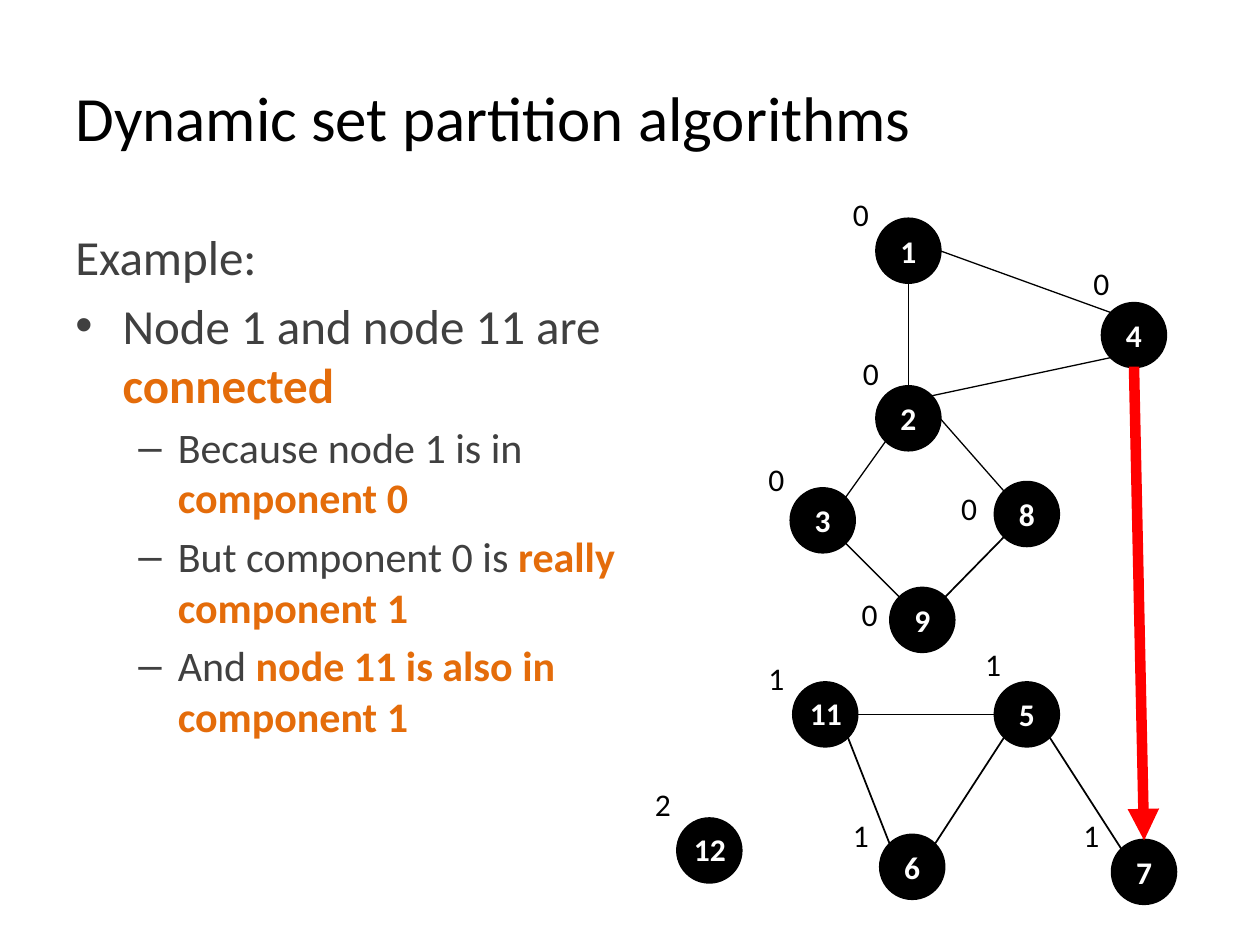
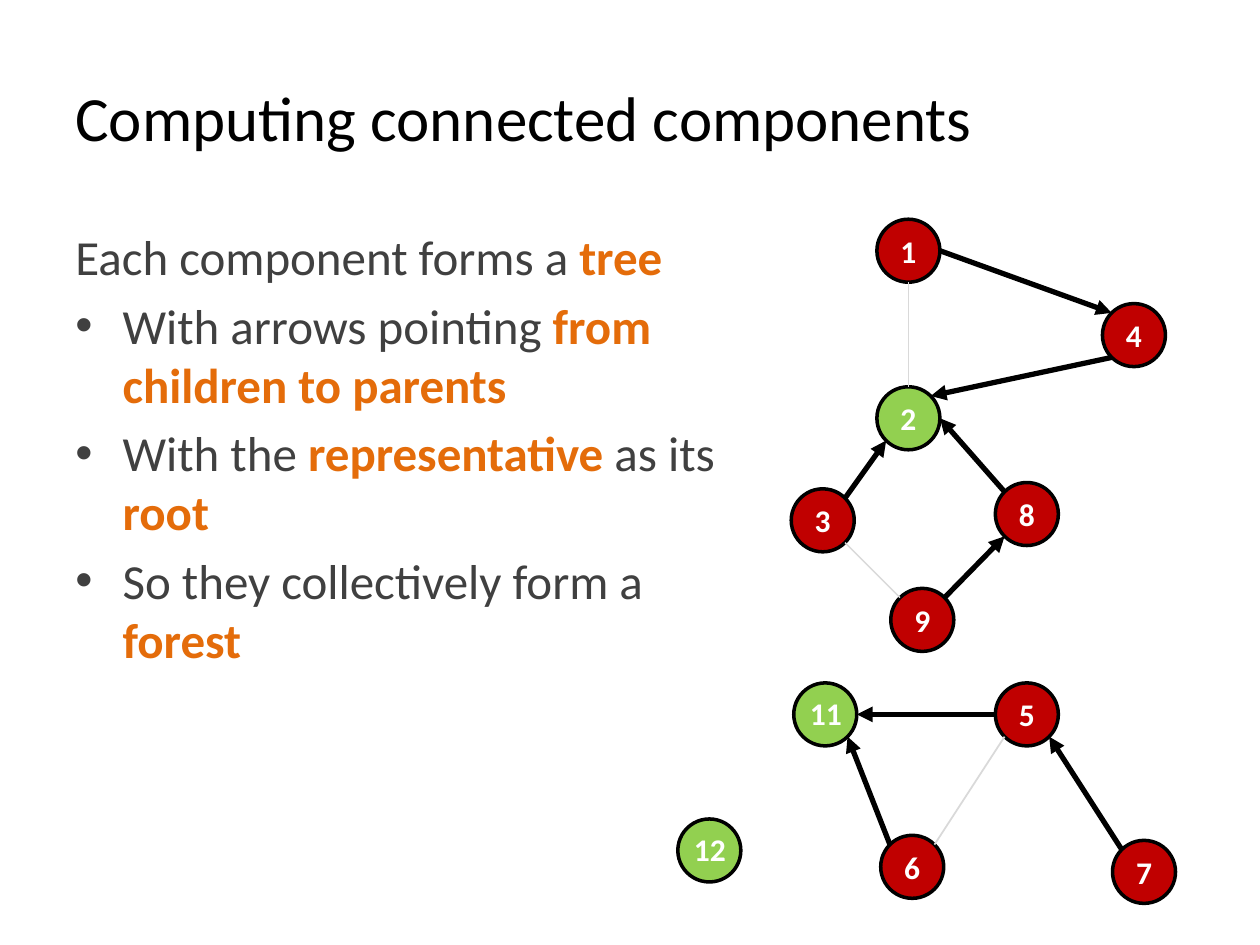
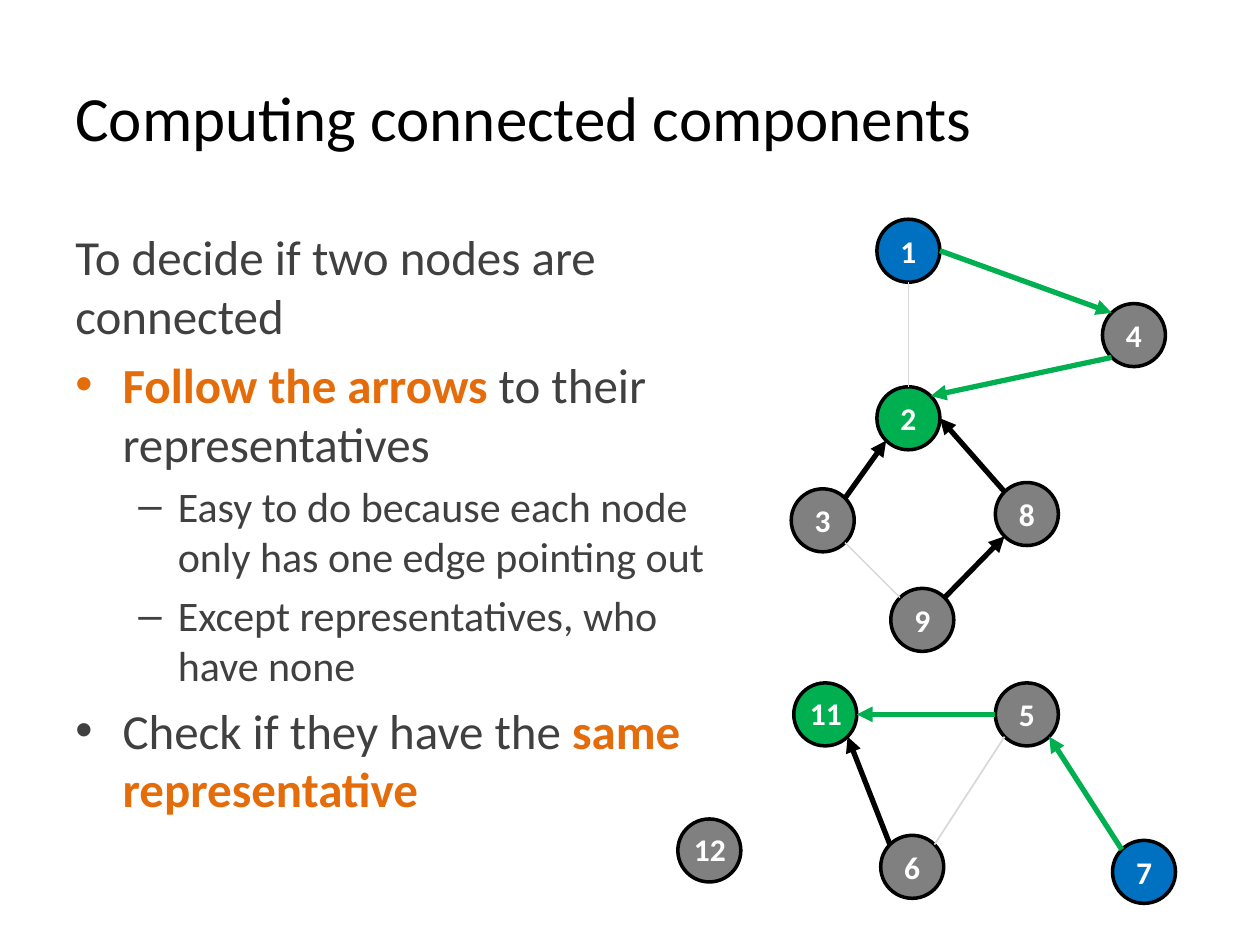
from math import cos, radians, sin

from lxml import etree
from pptx import Presentation
from pptx import util as u
from pptx.dml.color import RGBColor
from pptx.enum import shapes, text
from pptx.oxml import ns

BLACK = RGBColor(0, 0, 0)
WHITE = RGBColor(255, 255, 255)
INK = RGBColor(0x40, 0x40, 0x40)
ORANGE = RGBColor(0xE4, 0x6C, 0x0A)
ARROW_RED = RGBColor(0xFF, 0, 0)
RED = RGBColor(0xC0, 0, 0)
LIME = RGBColor(0x92, 0xD0, 0x50)
GREEN = RGBColor(0, 0xB0, 0x50)
BLUE = RGBColor(0, 0x70, 0xC0)
GRAY = RGBColor(0x80, 0x80, 0x80)
PALE = RGBColor(0xD9, 0xD9, 0xD9)

FONT = "Calibri"
COLUMNS, ROWS = 100, 75
NODE_SIZE = 5

# Body levels: outline level, size, left margin, first-line indent, bullet
LEVELS = {
    "lead": (0, 28, 0, 0, None),
    "point": (0, 28, 3.75, -3.75, "•"),
    "detail": (1, 24, 8.13, -3.13, "–"),
}

# Node centres in columns and rows
NODES = {
    2: (72.1, 33.2), 3: (65.3, 41.3), 5: (81.5, 56.7), 4: (90, 26.6),
    7: (90.8, 69.2), 6: (72.4, 68.8), 1: (72.1, 19.9), 8: (81.5, 40.8),
    9: (73.2, 49.2), 11: (65.5, 56.7), 12: (56.3, 67.5),
}

# Where an edge touches a node, in degrees clockwise from the right
SITES = {"E": 0, "SE": 45, "S": 90, "SW": 135,
         "W": 180, "NW": 225, "N": 270, "NE": 315}

# Child, its site, parent, its site, width as a plain edge
EDGES = [
    (7, "NW", 5, "SE", 1), (6, "NE", 5, "SW", 1),
    (3, "NE", 2, "SW", 0.75), (4, "SW", 2, "NE", 0.75),
    (1, "S", 2, "N", 0.75), (1, "E", 4, "NW", 0.75),
    (9, "NE", 8, "SW", 1), (3, "SE", 9, "NW", 0.75),
    (8, "NW", 2, "E", 0.75), (6, "NW", 11, "SE", 1),
    (5, "W", 11, "E", 1),
]
NON_TREE = {(6, 5), (1, 2), (3, 9)}

# Component number of each node, with the left and top of its label
COMPONENTS = [
    ("0", 66.7, 15), ("0", 67.5, 27.6), ("0", 60, 36), ("0", 67.4, 46.7),
    ("0", 75.3, 38.3), ("0", 85.8, 20.5), ("1", 77.2, 50.7),
    ("1", 66.7, 64.3), ("1", 60, 51.8), ("1", 85, 64.3), ("2", 51, 61.8),
]


class Sketch:
    """Holds the deck, its style and the current slide."""

    def __init__(self):
        """Start an empty 4:3 deck."""
        self.deck = Presentation()
        self.deck.slide_width = u.Inches(10)
        self.deck.slide_height = u.Inches(7.5)
        self.page = None

    def x(self, columns):
        """Turn columns into a length."""
        return round(self.deck.slide_width * columns / COLUMNS)

    def y(self, rows):
        """Turn rows into a length."""
        return round(self.deck.slide_height * rows / ROWS)

    def area(self, left, top, width, height):
        """Turn a grid area into lengths."""
        return self.x(left), self.y(top), self.x(width), self.y(height)

    def wording(self, para, words, size, color, bold=False):
        """Fill a paragraph; words between asterisks are emphasised."""
        for index, piece in enumerate(words.split("*")):
            if piece:
                span = para.add_run()
                span.text = piece
                strong = index % 2 == 1
                self.style(span.font, size, ORANGE if strong else color,
                           bold or strong)
        self.style(para.font, size, color, bold)

    def style(self, font, size, color, bold):
        """Set one font."""
        font.name, font.size, font.bold = FONT, u.Pt(size), bold
        font.color.rgb = color

    def slide(self, title, body, body_height):
        """Add a slide with its title and body text."""
        self.page = self.deck.slides.add_slide(self.deck.slide_layouts[6])
        frame = self.page.shapes.add_textbox(
            *self.area(5, 3, 90, 12.5)).text_frame
        frame.word_wrap = True
        frame.vertical_anchor = text.MSO_ANCHOR.MIDDLE
        self.wording(frame.paragraphs[0], title, 36, BLACK)
        self.body(body, body_height)

    def body(self, lines, height):
        """Add the outline at the left."""
        frame = self.page.shapes.add_textbox(
            *self.area(5, 17.5, 53.7, height)).text_frame
        frame.word_wrap = True
        for index, (kind, words) in enumerate(lines):
            para = frame.add_paragraph() if index else frame.paragraphs[0]
            level, size, margin, indent, bullet = LEVELS[kind]
            para.level = level
            para.space_before = u.Pt(size * 0.2)
            if bullet:
                self.bullet(para, margin, indent, bullet)
            self.wording(para, words, size, INK)

    def bullet(self, para, margin, indent, mark):
        """Give a paragraph a hanging bullet."""
        props = para._p.get_or_add_pPr()
        props.set("marL", str(self.x(margin)))
        props.set("indent", str(self.x(indent)))
        etree.SubElement(props, ns.qn("a:buFont"), typeface="Arial")
        etree.SubElement(props, ns.qn("a:buChar"), char=mark)

    def label(self, words, left, top, width=3.3, color=BLACK, bold=False):
        """Add a short unwrapped number."""
        frame = self.page.shapes.add_textbox(
            *self.area(left, top, width, 4)).text_frame
        frame.word_wrap = False
        frame.auto_size = text.MSO_AUTO_SIZE.SHAPE_TO_FIT_TEXT
        self.wording(frame.paragraphs[0], words, 18, color, bold)

    def node(self, number, fill):
        """Add a numbered circle."""
        across, down = NODES[number]
        half = NODE_SIZE / 2
        circle = self.page.shapes.add_shape(
            shapes.MSO_SHAPE.OVAL,
            *self.area(across - half, down - half, NODE_SIZE, NODE_SIZE))
        circle.shadow.inherit = False
        circle.fill.solid()
        circle.fill.fore_color.rgb = fill
        circle.line.color.rgb = BLACK
        circle.line.width = u.Pt(2)
        if number > 9:  # two digits are too wide for the circle's text area
            self.label(str(number), across - 2.2, down - 2.1, 4.6, WHITE, True)
            return
        frame = circle.text_frame
        frame.vertical_anchor = text.MSO_ANCHOR.MIDDLE
        para = frame.paragraphs[0]
        para.alignment = text.PP_ALIGN.CENTER
        self.wording(para, str(number), 18, WHITE, True)

    def rim(self, number, site):
        """Find a point on the edge of a node."""
        across, down = NODES[number]
        angle = radians(SITES[site])
        return (self.x(across + NODE_SIZE / 2 * cos(angle)),
                self.y(down + NODE_SIZE / 2 * sin(angle)))

    def edge(self, child, start, parent, end, width, color=BLACK, arrow=False):
        """Join two nodes, with an arrowhead at the parent if asked."""
        link = self.page.shapes.add_connector(
            shapes.MSO_CONNECTOR.STRAIGHT,
            *self.rim(child, start), *self.rim(parent, end))
        link.line.color.rgb = color
        link.line.width = u.Pt(width)
        if arrow:
            etree.SubElement(link.line._get_or_add_ln(), ns.qn("a:tailEnd"),
                             type="triangle")
        etree.SubElement(link._element.spPr, ns.qn("a:effectLst"))

    def graph(self, fill):
        """Draw the plain graph."""
        for number in NODES:
            self.node(number, fill)
        for edge in EDGES:
            self.edge(*edge)

    def forest(self, fill, special, followed=()):
        """Draw the trees, with special node fills and followed arrows."""
        for number in NODES:
            self.node(number, special.get(number, fill))
        for child, start, parent, end, width in EDGES:
            if (child, parent) in NON_TREE:
                self.edge(child, start, parent, end, width, PALE)
            else:
                color = GREEN if child in followed else BLACK
                self.edge(child, start, parent, end, 3, color, True)


sketch = Sketch()

sketch.slide("Dynamic set partition algorithms", [
    ("lead", "Example:"),
    ("point", "Node 1 and node 11 are *connected*"),
    ("detail", "Because node 1 is in *component 0*"),
    ("detail", "But component 0 is *really component 1*"),
    ("detail", "And *node 11 is also in component 1*"),
], 49.5)
sketch.graph(BLACK)
for component in COMPONENTS:
    sketch.label(*component)
sketch.edge(4, "S", 7, "N", 6, ARROW_RED, True)

sketch.slide("Computing connected components", [
    ("lead", "Each component forms a *tree*"),
    ("point", "With arrows pointing *from children to parents*"),
    ("point", "With the *representative *as its *root*"),
    ("point", "So they collectively form a *forest*"),
], 51.9)
sketch.forest(RED, {2: LIME, 11: LIME, 12: LIME})

sketch.slide("Computing connected components", [
    ("lead", "To decide if two nodes are connected"),
    ("point", "*Follow the arrows *to their representatives"),
    ("detail", "Easy to do because each node only has one edge pointing out"),
    ("detail", "Except representatives, who have none"),
    ("point", "Check if they have the *same representative*"),
], 51.9)
sketch.forest(GRAY, {1: BLUE, 7: BLUE, 2: GREEN, 11: GREEN},
              followed=(1, 4, 5, 7))

sketch.deck.save("out.pptx")
